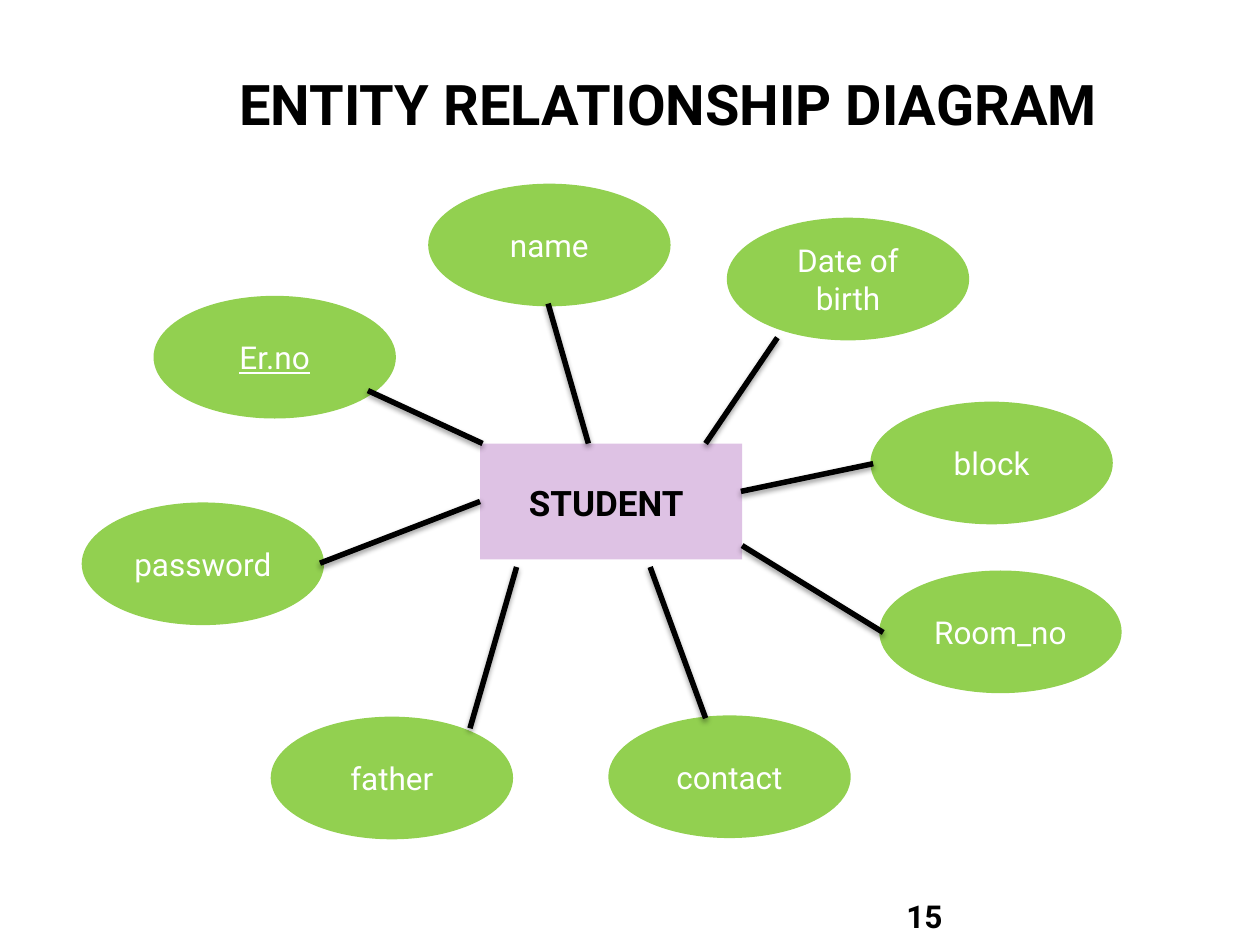
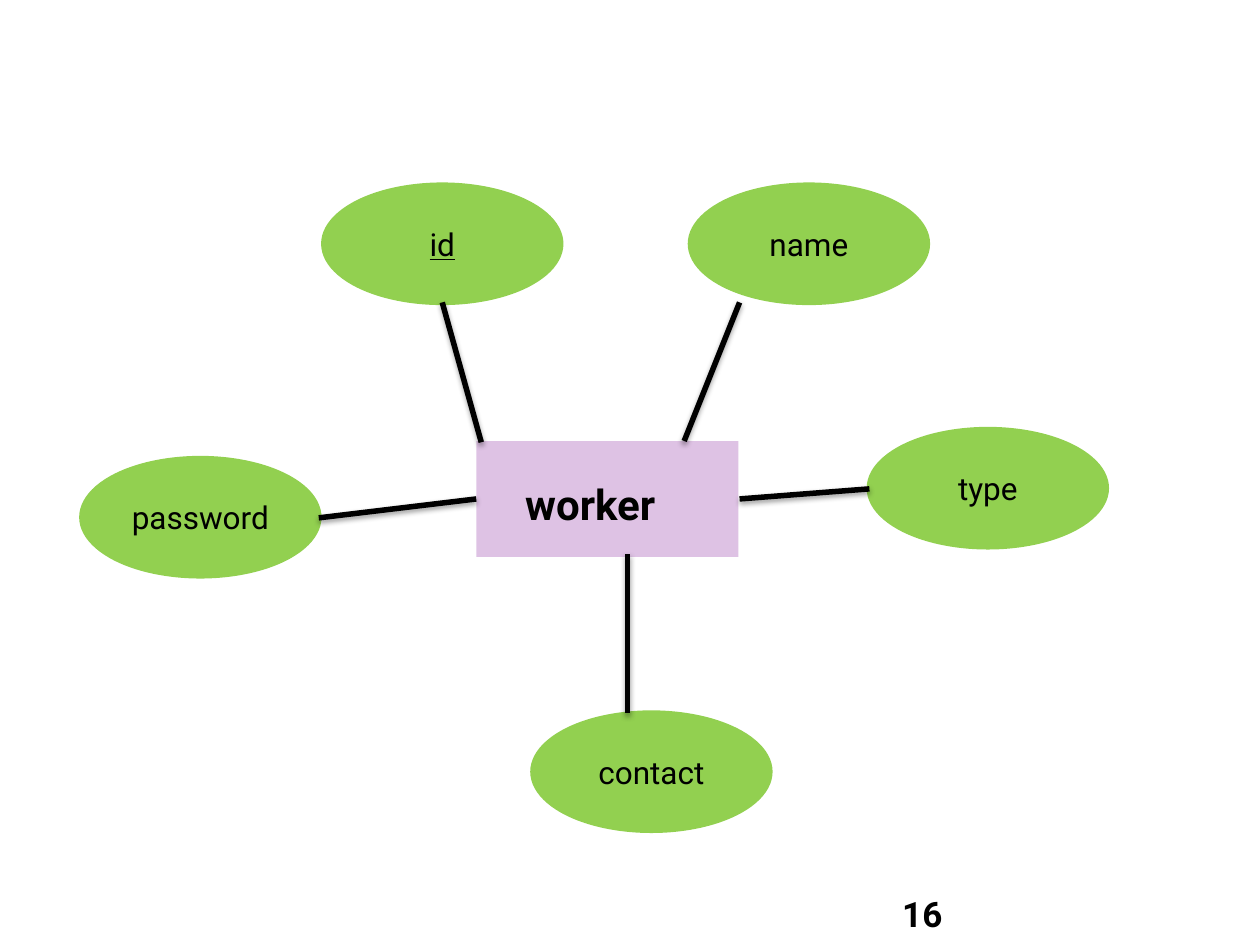
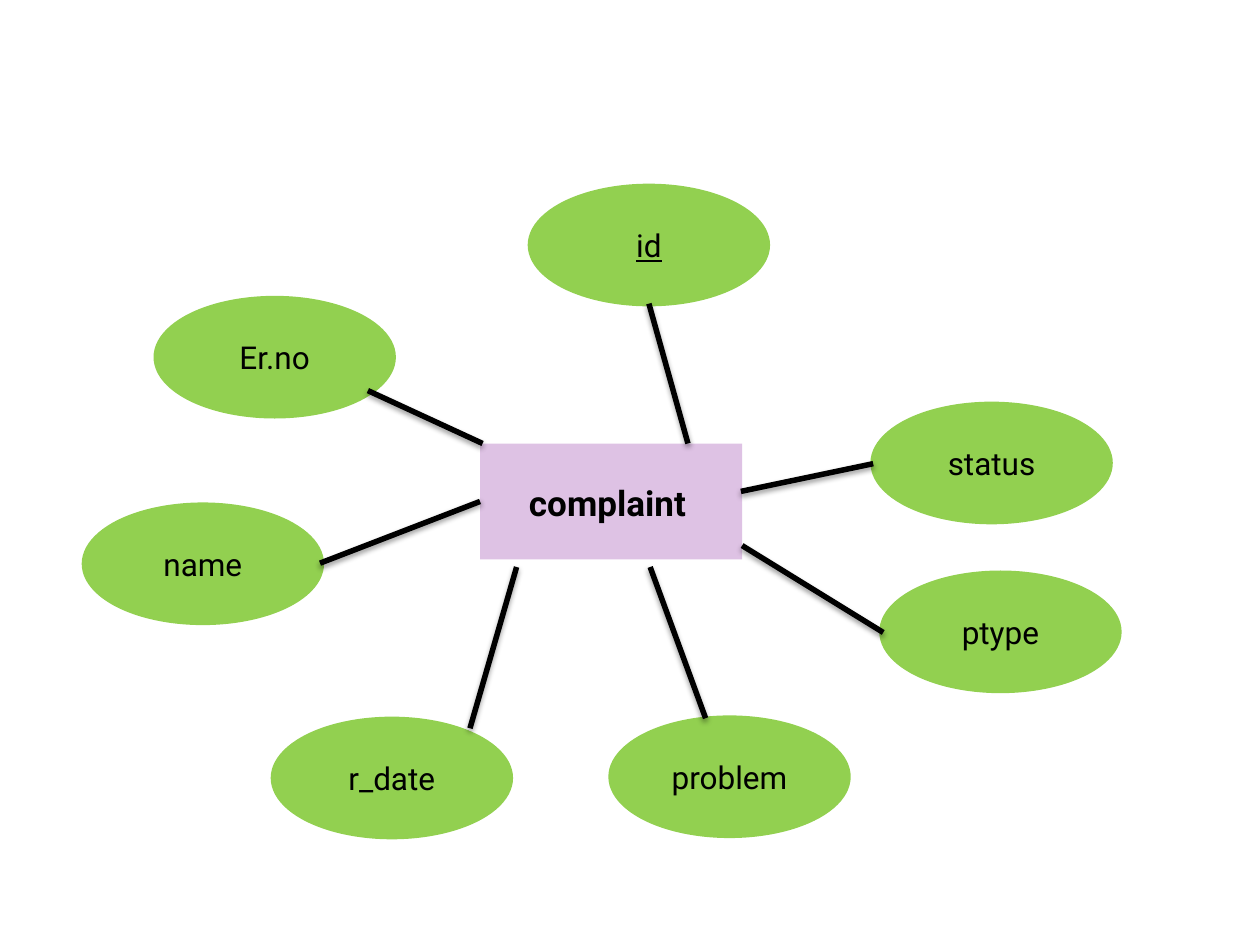
from typing import NamedTuple

from lxml.etree import SubElement
from pptx import Presentation
from pptx.dml.color import RGBColor
from pptx.enum.shapes import MSO_CONNECTOR, MSO_SHAPE
from pptx.enum.text import MSO_ANCHOR, MSO_AUTO_SIZE, PP_ALIGN
from pptx.oxml.ns import qn
from pptx.shapes.autoshape import Shape
from pptx.slide import Slide
from pptx.util import Inches, Length, Pt

HUES = {"oval": "92D050", "box": "DEC2E4", "dark": "000000", "light": "FFFFFF"}
FONT = "Roboto"
WIDE, HIGH = Inches(10), Inches(7.5)
COLS, ROWS = 100, 75
STROKE = Pt(3.15)


class Oval(NamedTuple):
    text: str
    col: float
    row: float
    key: bool = False


class Link(NamedTuple):
    col: float
    row: float
    to_col: float
    to_row: float


class Page(NamedTuple):
    name: str
    col: float
    row: float
    size: int
    ink: str
    ovals: list[Oval]
    links: list[Link]
    title: str = ""
    num: str = ""
    num_size: int = 18


SPOKES = [
    Link(41, 45, 37.3, 57.8),
    Link(51.6, 45, 56, 57),
    Link(38.3, 35.2, 29.2, 31),
    Link(38.1, 39.8, 25.4, 44.7),
    Link(58.9, 43.3, 70.1, 50.2),
    Link(58.8, 39, 69.3, 36.8),
]


def ring(left: Oval, *texts: str) -> list[Oval]:
    spots = [(48.5, 57), (70, 45.5), (69.3, 32.1), (6.7, 40.1), (21.7, 57.1)]
    return [left] + [Oval(text, *spot) for text, spot in zip(texts, spots)]


PAGES = [
    Page(
        "STUDENT", 38.1, 35.2, 20, "light",
        [Oval("Date of birth", 57.9, 17.5), Oval("name", 34.2, 14.8)]
        + ring(Oval("Er.no", 12.4, 23.7, True),
               "contact", "Room_no", "block", "password", "father"),
        [Link(43.5, 24.1, 46.7, 35.2), Link(61.7, 26.8, 56, 35.2)] + SPOKES,
        title="ENTITY RELATIONSHIP DIAGRAM", num="15",
    ),
    Page(
        "worker", 37.8, 35, 24, "dark",
        [Oval("name", 54.8, 14.7), Oval("id", 25.7, 14.7, True),
         Oval("password", 6.5, 36.4), Oval("contact", 42.3, 56.6),
         Oval("type", 69, 34.1)],
        [Link(35.1, 24, 38.2, 35.1), Link(37.8, 39.6, 25.3, 41.1),
         Link(58.7, 24, 54.3, 35), Link(49.8, 44, 49.8, 56.6),
         Link(58.7, 39.6, 69, 38.8)],
        num="16", num_size=20,
    ),
    Page(
        "complaint", 38.1, 35.2, 20, "dark",
        [Oval("id", 42.1, 14.8, True)]
        + ring(Oval("Er.no", 12.4, 23.7),
               "problem", "ptype", "status", "name", "r_date"),
        [Link(51.5, 24.1, 54.6, 35.2)] + SPOKES,
    ),
]


def hue(name: str) -> RGBColor:
    return RGBColor.from_string(HUES[name])


def across(col: float) -> Length:
    return Length(round(WIDE * col / COLS))


def down(row: float) -> Length:
    return Length(round(HIGH * row / ROWS))


def area(col: float, row: float, cols: float, rows: float) -> tuple[Length, ...]:
    return across(col), down(row), across(cols), down(rows)


def write(shape: Shape, text: str, size: int, ink: str = "dark", bold: bool = True,
          line: bool = False, align: PP_ALIGN = PP_ALIGN.LEFT,
          anchor: MSO_ANCHOR = MSO_ANCHOR.TOP) -> None:
    frame = shape.text_frame
    frame.text = text
    frame.word_wrap = True
    frame.auto_size = MSO_AUTO_SIZE.NONE
    frame.vertical_anchor = anchor
    frame.paragraphs[0].alignment = align
    font = frame.paragraphs[0].runs[0].font
    font.name, font.size, font.bold = FONT, Pt(size), bold
    font.underline = line
    font.color.rgb = hue(ink)


def block(slide: Slide, kind: MSO_SHAPE, place: tuple[Length, ...], fill: str) -> Shape:
    shape = slide.shapes.add_shape(kind, *place)
    shape.shadow.inherit = False
    shape.fill.solid()
    shape.fill.fore_color.rgb = hue(fill)
    shape.line.fill.background()
    return shape


def draw_oval(slide: Slide, oval: Oval, ink: str) -> None:
    shape = block(slide, MSO_SHAPE.OVAL, area(oval.col, oval.row, 18.8, 9.3), "oval")
    shape.line.color.rgb = hue("oval")
    shape.line.width = STROKE
    write(shape, oval.text, 18, ink, False, oval.key, PP_ALIGN.CENTER, MSO_ANCHOR.MIDDLE)


def draw_link(slide: Slide, link: Link) -> None:
    line = slide.shapes.add_connector(
        MSO_CONNECTOR.STRAIGHT, across(link.col), down(link.row),
        across(link.to_col), down(link.to_row))
    line.line.color.rgb = hue("dark")
    line.line.width = STROKE
    glow = SubElement(line._element.spPr, qn("a:effectLst"))
    shade = SubElement(glow, qn("a:outerShdw"), blurRad="40000", dist="20000",
                       dir="5400000", rotWithShape="0")
    tint = SubElement(shade, qn("a:srgbClr"), val=HUES["dark"])
    SubElement(tint, qn("a:alpha"), val="38000")


def draw_name(slide: Slide, page: Page) -> None:
    block(slide, MSO_SHAPE.RECTANGLE, area(page.col, page.row, 20.8, 9.2), "box")
    label = block(slide, MSO_SHAPE.RECTANGLE,
                  area(page.col + 2.9, page.row + 2.5, 15, 4.4), "box")
    write(label, page.name, page.size)


def draw_title(slide: Slide, text: str) -> None:
    title = slide.shapes.title
    title.left, title.top, title.width, title.height = area(12.5, 5, 75.8, 6.4)
    write(title, text, 32)
    title.text_frame.margin_left = across(6.5)
    title.text_frame.margin_right = 0


def draw_num(slide: Slide, page: Page) -> None:
    box = slide.shapes.add_textbox(*area(68.4, 71.7, 6.4, 2.5))
    write(box, page.num, page.num_size, align=PP_ALIGN.RIGHT, anchor=MSO_ANCHOR.BOTTOM)
    frame = box.text_frame
    frame.margin_left = frame.margin_right = frame.margin_top = frame.margin_bottom = 0


def main() -> None:
    deck = Presentation()
    deck.slide_width, deck.slide_height = WIDE, HIGH
    for page in PAGES:
        style = "Title Only" if page.title else "Blank"
        slide = deck.slides.add_slide(deck.slide_layouts.get_by_name(style))
        if page.num:
            draw_num(slide, page)
        if page.title:
            draw_title(slide, page.title)
        draw_name(slide, page)
        for oval in page.ovals:
            draw_oval(slide, oval, page.ink)
        for link in page.links:
            draw_link(slide, link)
    deck.save("out.pptx")


if __name__ == "__main__":
    main()
